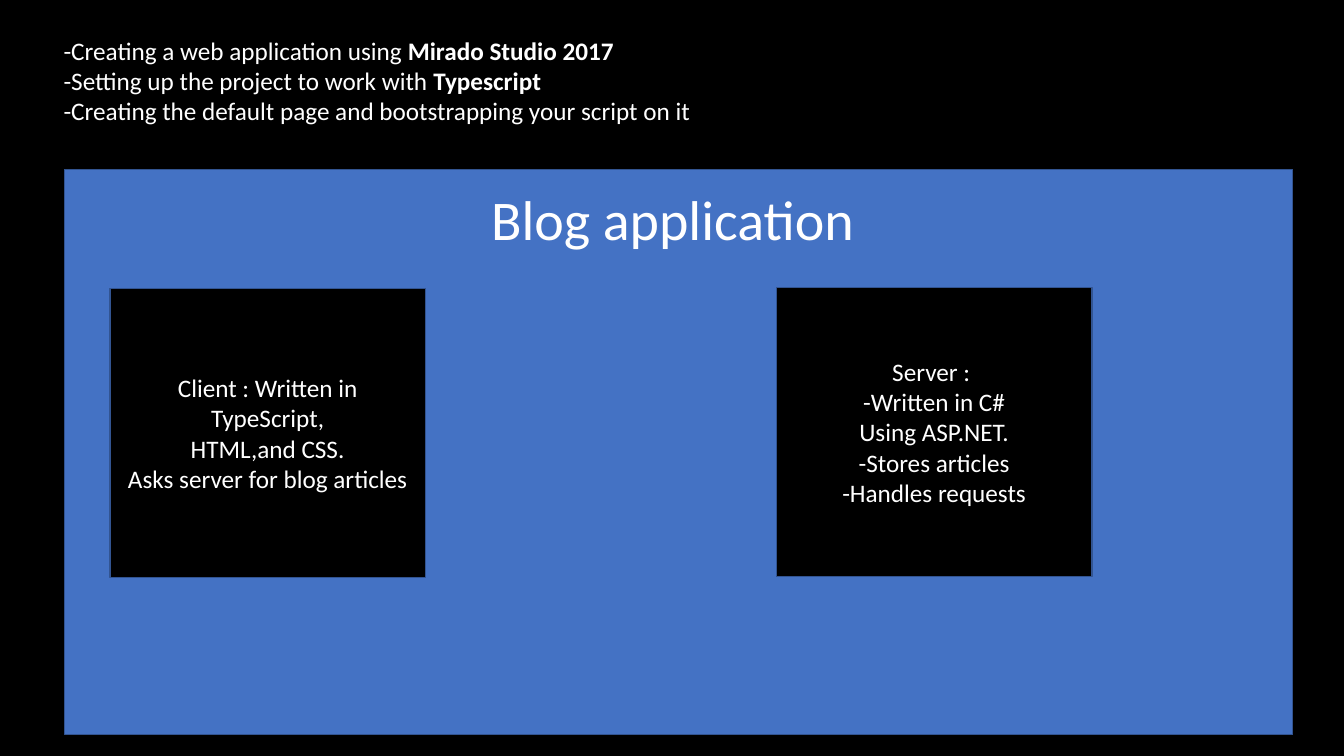
"""Build a slide that outlines the client and server of a blog application."""
from pptx import Presentation
from pptx.dml.color import RGBColor as Rgb
from pptx.enum.shapes import MSO_SHAPE as Kind
from pptx.enum.text import MSO_ANCHOR as Anchor, MSO_AUTO_SIZE as Fit, PP_ALIGN as Align
from pptx.oxml.xmlchemy import OxmlElement as Node
from pptx.util import Inches, Pt

COLORS = {"back": "000000", "panel": "4472C4", "edge": "325491", "text": "FFFFFF"}
FONT = "Calibri"
WIDE, HIGH = 13.33, 7.5

TITLE = ["Blog application"]
STEPS = [
    ("-Creating a web application using ", "Mirado Studio 2017"),
    ("-Setting up the project to work with ", "Typescript"),
    "-Creating the default page and bootstrapping your script on it",
]
CLIENT = ["Client : Written in TypeScript,", "HTML,and CSS.", "Asks server for blog articles"]
SERVER = ["Server : ", "-Written in C#", "Using ASP.NET.", "-Stores articles", "-Handles requests"]

PANEL = (0.64, 1.68, 12.18, 5.61)
HEAD = (4.75, 1.78, 3.84, 0.77)
LIST = (0.53, 0.3, 6.5, 1.01)
CARD = (3.13, 2.87)
CARDS = [((1.09, 2.86), CLIENT), ((7.7, 2.85), SERVER)]


def tint(name):
    return Rgb.from_string(COLORS[name])


def write(shape, lines, size=18, align=Align.LEFT, anchor=Anchor.TOP, wrap=True):
    """Fill a shape with lines; a pair is plain text followed by bold text."""
    frame = shape.text_frame
    frame.word_wrap = wrap
    frame.auto_size = Fit.NONE
    frame.vertical_anchor = anchor
    for i, line in enumerate(lines):
        para = frame.paragraphs[0] if i == 0 else frame.add_paragraph()
        para.alignment = align
        para.space_before = Pt(0)
        props = para._p.get_or_add_pPr()
        props.set("marL", "0")
        props.set("indent", "0")
        props.append(Node("a:buNone"))
        parts = (line,) if isinstance(line, str) else line
        for j, part in enumerate(parts):
            run = para.add_run()
            run.text = part
            font = run.font
            font.name, font.size, font.bold = FONT, Pt(size), j == 1
            font.color.rgb = tint("text")


def place(shape, box):
    shape.left, shape.top, shape.width, shape.height = map(Inches, box)


def rect(slide, box, fill):
    shape = slide.shapes.add_shape(Kind.RECTANGLE, *map(Inches, box))
    shape.shadow.inherit = False
    shape.fill.solid()
    shape.fill.fore_color.rgb = tint(fill)
    shape.line.color.rgb = tint("edge")
    shape.line.width = Pt(1)
    return shape


def main():
    deck = Presentation()
    deck.slide_width, deck.slide_height = Inches(WIDE), Inches(HIGH)
    slide = deck.slides.add_slide(deck.slide_layouts[1])
    back = slide.background.fill
    back.solid()
    back.fore_color.rgb = tint("back")

    title, steps = slide.placeholders
    place(title, HEAD)
    write(title, TITLE, size=40, align=Align.CENTER, anchor=Anchor.MIDDLE, wrap=False)
    place(steps, LIST)
    write(steps, STEPS, wrap=False)

    panel = rect(slide, PANEL, "panel")
    title._element.addprevious(panel._element)
    for spot, lines in CARDS:
        card = rect(slide, spot + CARD, "back")
        write(card, lines, align=Align.CENTER, anchor=Anchor.MIDDLE)
    deck.save("out.pptx")


if __name__ == "__main__":
    main()
